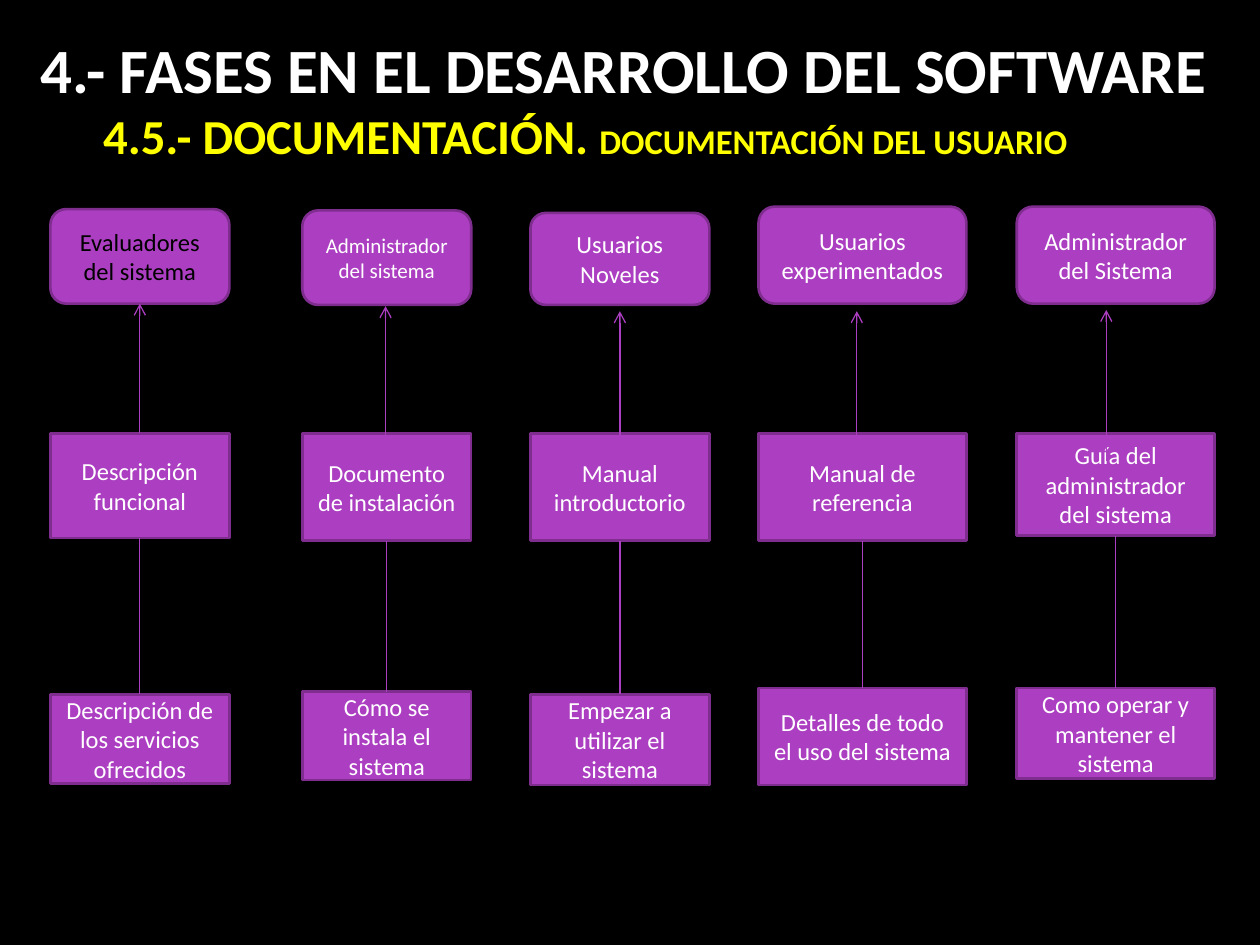
from lxml import etree
from pptx import Presentation
from pptx.dml.color import RGBColor
from pptx.enum.shapes import MSO_CONNECTOR, MSO_SHAPE
from pptx.enum.text import MSO_ANCHOR, PP_ALIGN
from pptx.oxml.ns import qn
from pptx.util import Inches, Pt

RECT, ROUND = MSO_SHAPE.RECTANGLE, MSO_SHAPE.ROUNDED_RECTANGLE
LINE = MSO_CONNECTOR.STRAIGHT
TOP, MIDDLE = MSO_ANCHOR.TOP, MSO_ANCHOR.MIDDLE
CENTER = PP_ALIGN.CENTER
UPPER, LOWER = 0, 2  # connection sites of a box

FONT = "Calibri"
COLORS = {"back": "000000", "text": "FFFFFF", "dark": "000000",
          "accent": "FFFF00", "fill": "AC3EC1", "edge": "7F2E8F"}

# left, width, (top, height, text) of reader, document and purpose
COLUMNS = [
    (0.4, 1.42, [(1.66, 0.75, "Evaluadores del sistema"),
                 (3.44, 0.83, "Descripción funcional"),
                 (5.51, 0.71, "Descripción de los servicios ofrecidos")]),
    (2.4, 1.34, [(1.67, 0.75, "Administrador del sistema"),
                 (3.44, 0.85, "Documento de instalación"),
                 (5.49, 0.7, "Cómo se instala el sistema")]),
    (4.21, 1.42, [(1.69, 0.73, "Usuarios Noveles"),
                  (3.44, 0.85, "Manual introductorio"),
                  (5.51, 0.72, "Empezar a utilizar el sistema")]),
    (6.02, 1.65, [(1.64, 0.77, "Usuarios experimentados"),
                  (3.44, 0.85, "Manual de referencia"),
                  (5.46, 0.77, "Detalles de todo el uso del sistema")]),
    (8.07, 1.57, [(1.64, 0.77, "Administrador del Sistema"),
                  (3.44, 0.81, "Guía del administrador del sistema"),
                  (5.46, 0.72, "Como operar y mantener el sistema")]),
]
# x, start and end of each column's arrow; None joins the two boxes
ARROWS = [None, (3.06, 3.63, 2.43), (4.92, 3.67, 2.47),
          (6.8, 3.67, 2.47), (8.78, 3.66, 2.46)]


def color(name):
    return RGBColor.from_string(COLORS[name])


def add_run(para, text, size, tint):
    run = para.add_run()
    run.text = text
    run.font.size = Pt(size)
    run.font.color.rgb = color(tint)


def add_title(slide):
    box = slide.shapes.add_textbox(Inches(0.22), Inches(0.19),
                                   Inches(9.78), Inches(1.59))
    frame = box.text_frame
    frame.word_wrap = True
    frame.vertical_anchor = TOP
    para = frame.paragraphs[0]
    tabs = etree.SubElement(para._p.get_or_add_pPr(), qn("a:tabLst"))
    etree.SubElement(tabs, qn("a:tab"), pos=str(Inches(0.5)), algn="l")
    para.font.name = FONT
    para.font.bold = True
    add_run(para, "4.- FASES EN EL DESARROLLO DEL SOFTWARE", 36, "text")
    para.add_line_break()
    add_run(para, "\t4.5.- DOCUMENTACIÓN. ", 27.9, "accent")
    add_run(para, "DOCUMENTACIÓN DEL USUARIO", 19.8, "accent")


def add_box(slide, kind, left, top, width, height, text, size, tint):
    box = slide.shapes.add_shape(kind, Inches(left), Inches(top),
                                 Inches(width), Inches(height))
    box.shadow.inherit = False
    box.fill.solid()
    box.fill.fore_color.rgb = color("fill")
    box.line.color.rgb = color("edge")
    box.line.width = Pt(1.5)
    frame = box.text_frame
    frame.word_wrap = True
    frame.vertical_anchor = MIDDLE
    para = frame.paragraphs[0]
    para.text = text
    para.alignment = CENTER
    para.font.name = FONT
    para.font.size = Pt(size)
    para.font.color.rgb = color(tint)
    return box


def add_line(slide, x=0, start=0, end=0, arrow=False):
    """Draw an upright line, with an arrowhead at its end if asked."""
    line = slide.shapes.add_connector(LINE, Inches(x), Inches(start),
                                      Inches(x), Inches(end))
    line.line.color.rgb = color("fill")
    line.line.width = Pt(0.75)
    if arrow:
        etree.SubElement(line.line._get_or_add_ln(), qn("a:tailEnd"),
                         type="arrow")
    etree.SubElement(line._element.spPr, qn("a:effectLst"))
    return line


def join(line, low, high):
    """Tie a line from the top of one box to the bottom of another."""
    line.begin_connect(low, UPPER)
    line.end_connect(high, LOWER)


def add_column(slide, index):
    left, width, cells = COLUMNS[index]
    boxes = []
    for row, (top, height, text) in enumerate(cells):
        kind = ROUND if row == 0 else RECT
        size = 12 if (index, row) == (1, 0) else 14
        tint = "dark" if (index, row) == (0, 0) else "text"
        boxes.append(add_box(slide, kind, left, top, width, height,
                             text, size, tint))
    reader, paper, goal = boxes
    ends = ARROWS[index]
    if ends:
        add_line(slide, *ends, arrow=True)
    else:
        join(add_line(slide, arrow=True), paper, reader)
    join(add_line(slide), goal, paper)


def main():
    deck = Presentation()
    deck.slide_width, deck.slide_height = Inches(10), Inches(7.5)
    slide = deck.slides.add_slide(deck.slide_layouts[6])
    slide.background.fill.solid()
    slide.background.fill.fore_color.rgb = color("back")
    add_title(slide)
    for index in range(len(COLUMNS)):
        add_column(slide, index)
    deck.save("out.pptx")


if __name__ == "__main__":
    main()
